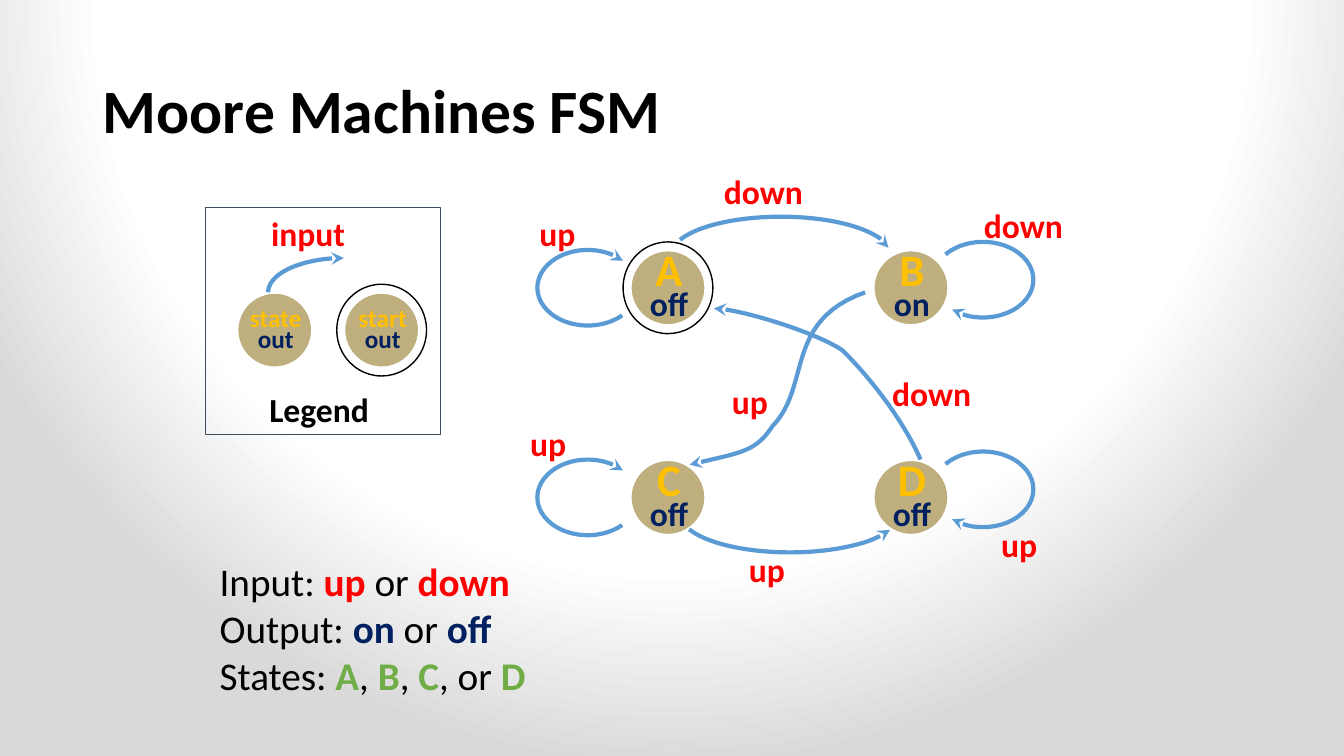
from lxml import etree
from pptx import Presentation
from pptx import util as u
from pptx.dml import color
from pptx.enum import shapes, text
from pptx.oxml import ns, parse_xml

COLORS = {name: color.RGBColor.from_string(value) for name, value in {
    "black": "000000", "white": "FFFFFF", "input": "FF0000", "output": "002060",
    "state": "FFC000", "listed": "70AD47", "circle": "806000",
    "arrow": "5B9BD5", "frame": "3D4C5F"}.items()}
KIND = shapes.MSO_SHAPE
CIRCLE = 0.75
COLUMNS = [6.25, 8.66]
ROWS = [2.48, 4.56]

deck = Presentation()
deck.slide_width, deck.slide_height = u.Inches(13.33), u.Inches(7.5)
page = deck.slides.add_slide(deck.slide_layouts[5])


def add_text(left, top, width, height, lines, middle=False, spacing=None):
    """Add a box of lines within one paragraph; a line is (words, size, colour)."""
    box = page.shapes.add_textbox(*map(u.Inches, (left, top, width, height)))
    frame = box.text_frame
    frame.word_wrap = True
    para = frame.paragraphs[0]
    para.font.name, para.font.bold = "Calibri", True
    if middle:
        frame.vertical_anchor = text.MSO_ANCHOR.MIDDLE
        para.alignment = text.PP_ALIGN.CENTER
    if spacing:
        para.line_spacing = spacing
    for number, (words, size, tint) in enumerate(lines):
        if number:
            para.add_line_break()
        span = para.add_run()
        span.text = words
        span.font.size, span.font.color.rgb = u.Pt(size), COLORS[tint]


def outline(shape, tint, width, arrow=False):
    """Draw the outline only, with an arrowhead at its end if asked."""
    shape.shadow.inherit = False
    shape.fill.background()
    shape.line.color.rgb, shape.line.width = COLORS[tint], u.Pt(width)
    if arrow:
        etree.SubElement(shape.line._get_or_add_ln(), ns.qn("a:tailEnd"), type="stealth")


# Background: white glow fading to grey
page.background.fill.solid()
solid = page.background._cSld.find(".//" + ns.qn("a:solidFill"))
stops = "".join(f'<a:gs pos="{share}000"><a:srgbClr val="{tint}"/></a:gs>'
                for share, tint in [(0, "FFFFFF"), (74, "FFFFFF"), (100, "D9D9D9")])
solid.getparent().replace(solid, parse_xml(
    f'<a:gradFill {ns.nsdecls("a")} rotWithShape="1"><a:gsLst>{stops}</a:gsLst>'
    '<a:path path="circle"><a:fillToRect l="50000" t="-80000" r="50000" b="180000"/>'
    '</a:path></a:gradFill>'))

# Title
title = page.shapes.title
title.left, title.top, title.width, title.height = map(u.Inches, (0.92, 0.4, 11.5, 1.45))
title.text_frame.text = "Moore Machines FSM"
title.text_frame.auto_size = text.MSO_AUTO_SIZE.NONE
title.text_frame.vertical_anchor = text.MSO_ANCHOR.MIDDLE
para = title.text_frame.paragraphs[0]
para.alignment, para.line_spacing = text.PP_ALIGN.LEFT, 0.9
para.font.name, para.font.size, para.font.bold = "Calibri", u.Pt(44), True
para.font.color.rgb = COLORS["black"]

# Legend frame
legend = page.shapes.add_shape(KIND.RECTANGLE, *map(u.Inches, (2.04, 2.06, 2.33, 2.25)))
outline(legend, "frame", 1)
add_text(2.5, 3.81, 1.33, 0.5, [("Legend", 24, "black")], middle=True)

# States, in the legend and in the machine: position, name, output, sizes, is start
states = [
    (2.35, 2.9, "state", "out", 18, 18, False),
    (3.41, 2.9, "start", "out", 18, 18, True),
    (COLUMNS[0], ROWS[0], "A", "off", 32, 24, True),
    (COLUMNS[1], ROWS[0], "B", "on", 32, 24, False),
    (COLUMNS[0], ROWS[1], "C", "off", 32, 24, False),
    (COLUMNS[1], ROWS[1], "D", "off", 32, 24, False),
]
for left, top, name, output, name_size, output_size, is_start in states:
    circle = page.shapes.add_shape(KIND.OVAL, *map(u.Inches, (left, top, CIRCLE, CIRCLE)))
    outline(circle, "white", 2)
    circle.fill.solid()
    circle.fill.fore_color.rgb = COLORS["circle"]
    tint = circle.fill._xPr.find(ns.qn("a:solidFill"))[0]
    etree.SubElement(tint, ns.qn("a:alpha"), val="50000")
    add_text(left + 0.01, top + 0.2, CIRCLE, 0.38,
             [(name, name_size, "state"), (output, output_size, "output")],
             middle=True, spacing=0.7)
    if is_start:
        ring = page.shapes.add_shape(
            KIND.OVAL, *map(u.Inches, (left - 0.07, top - 0.08, 0.89, 0.91)))
        outline(ring, "black", 1)

# Arc transitions: left, top, width, start and end angle in degrees, flipped
arcs = [(6.66, 2.15, 2.17, 188.31, 356.46, False),
        (6.75, 4.73, 2.17, 188.31, 351.34, True)]
for top in ROWS:
    arcs.append((COLUMNS[0] - 0.92, top, 1, 38.77, 322.59, False))
    arcs.append((COLUMNS[1] + 0.59, top - 0.08, 1, 214.06, 135.96, False))
for left, top, width, start, end, flipped in arcs:
    arc = page.shapes.add_shape(KIND.ARC, *map(u.Inches, (left, top, width, CIRCLE)))
    arc.adjustments[0], arc.adjustments[1] = start * 0.6, end * 0.6
    outline(arc, "arrow", 3, arrow=True)
    if flipped:
        arc._element.spPr.find(ns.qn("a:xfrm")).set("flipV", "1")

# Curved transitions: a start point, then two handles and an end for each piece
curves = [
    [(2.66, 2.9), (2.66, 2.71), (3, 2.56), (3.41, 2.56)],
    [(9.13, 4.56), (9.01, 4.28), (8.74, 3.86), (8.36, 3.48),
     (8.11, 3.3), (7.32, 3.06), (7.08, 3.06)],
    [(8.58, 2.9), (7.77, 3.19), (8.05, 3.83), (7.66, 4.23),
     (7.49, 4.49), (7.34, 4.49), (6.84, 4.61)],
]
STEPS = 24
for knots in curves:
    points = []
    for first in range(0, len(knots) - 1, 3):
        for step in range(1, STEPS + 1):
            t = step / STEPS
            weights = [(1 - t) ** 3, 3 * t * (1 - t) ** 2, 3 * t * t * (1 - t), t ** 3]
            points.append([u.Inches(sum(w * knot[axis] for w, knot
                                        in zip(weights, knots[first:first + 4])))
                           for axis in (0, 1)])
    builder = page.shapes.build_freeform(*map(u.Inches, knots[0]))
    builder.add_line_segments(points, close=False)
    outline(builder.convert_to_shape(), "arrow", 3, arrow=True)

# Input labels on the transitions
labels = [("input", 2.59, 2.06), ("down", 7.08, 1.65), ("up", 5.25, 2.06),
          ("down", 9.66, 1.98), ("up", 7.33, 5.4), ("up", 5.16, 4.15),
          ("up", 9.83, 5.15), ("down", 8.75, 3.65), ("up", 7.16, 3.73)]
for words, left, top in labels:
    add_text(left, top, 1.25, 0.4, [(words, 24, "input")])

# Summary of inputs, outputs and states
summary = [
    [("Input: ", "black"), ("up ", "input"), ("or ", "black"), ("down", "input")],
    [("Output: ", "black"), ("on ", "output"), ("or ", "black"), ("off", "output")],
    [("States: ", "black"), ("A", "listed"), (", ", "black"), ("B", "listed"),
     (", ", "black"), ("C", "listed"), (", or ", "black"), ("D", "listed")],
]
box = page.shapes.add_textbox(*map(u.Inches, (2.08, 5.48, 3.28, 1.51)))
frame = box.text_frame
frame.word_wrap = False
for number, spans in enumerate(summary):
    para = frame.add_paragraph() if number else frame.paragraphs[0]
    para.font.name, para.font.size = "Calibri", u.Pt(28)
    for words, tint in spans:
        span = para.add_run()
        span.text = words
        span.font.bold = tint != "black"
        span.font.color.rgb = COLORS[tint]

deck.save("out.pptx")
